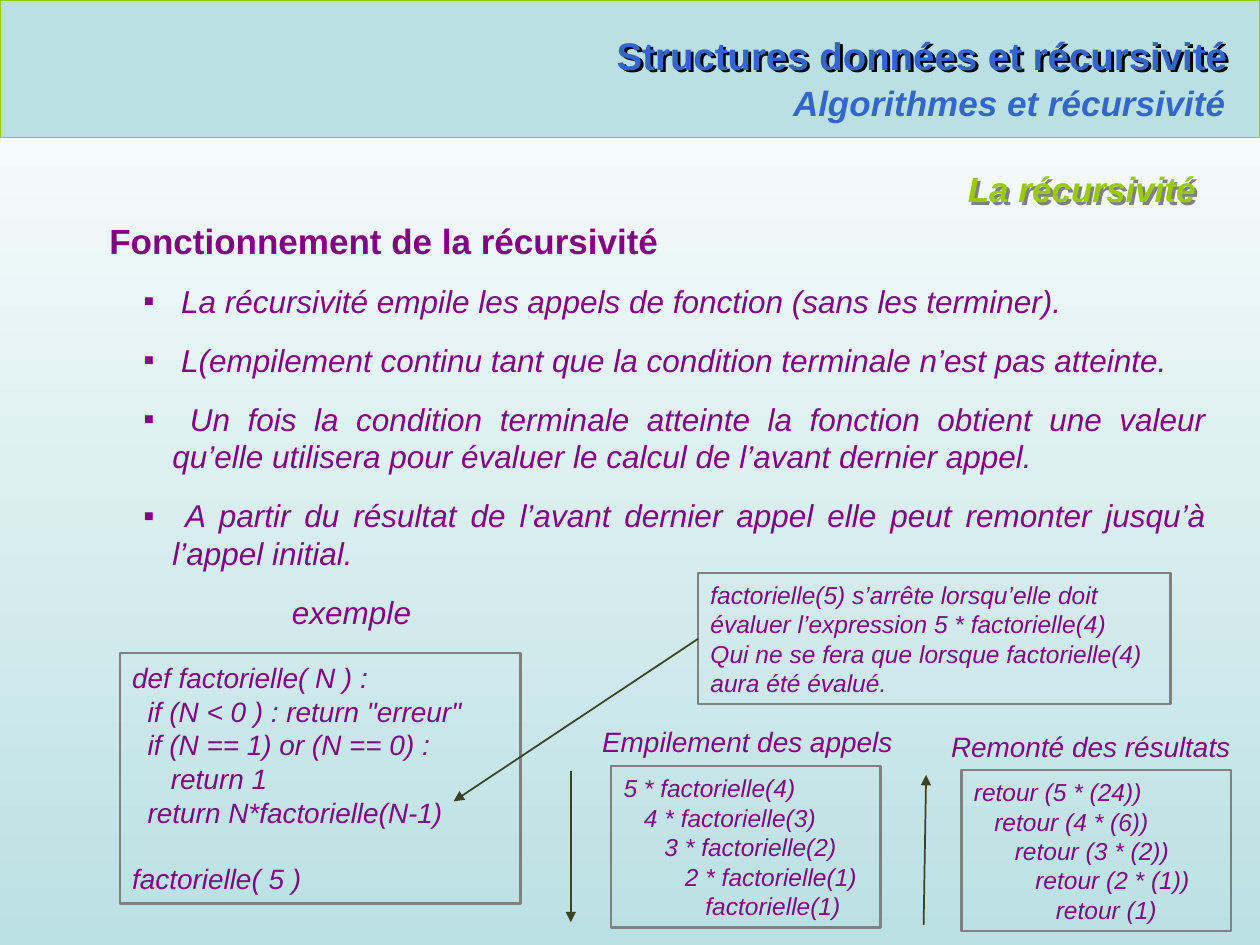
from pptx import Presentation
from pptx.dml.color import RGBColor
from pptx.enum.shapes import MSO_CONNECTOR, MSO_SHAPE
from pptx.enum.text import MSO_ANCHOR, PP_ALIGN
from pptx.oxml.ns import qn
from pptx.util import Pt
from lxml.etree import SubElement


def colour(code):
    return RGBColor.from_string(code)


class SlideBuilder:
    font = "Arial"
    purple, blue, green = "800080", "3366CC", "99CC00"
    pale, grey, dark = "BBE0E3", "808080", "3B4323"

    def __init__(self, slide):
        self.slide = slide

    def background(self):
        fill = self.slide.background.fill
        fill.gradient()
        fill.gradient_angle = 270
        for stop, code in zip(fill.gradient_stops, ("FFFFFF", self.pale)):
            stop.color.rgb = colour(code)

    def add_span(self, para, words, size, code=purple, bold=False, italic=True):
        span = para.add_run()
        span.text = words
        font = span.font
        font.name, font.size = self.font, Pt(size)
        font.bold, font.italic = bold, italic
        font.color.rgb = colour(code)

    def text_box(self, left, top, width, height, wrap=False):
        box = self.slide.shapes.add_textbox(Pt(left), Pt(top), Pt(width), Pt(height))
        box.text_frame.word_wrap = wrap
        return box

    def label(self, place, words, size, align=PP_ALIGN.LEFT, shadow=None, **style):
        box = self.text_box(*place)
        para = box.text_frame.paragraphs[0]
        para.alignment = align
        self.add_span(para, words, size, **style)
        if shadow:
            effects = SubElement(box._element.spPr, qn("a:effectLst"))
            outer = SubElement(effects, qn("a:outerShdw"), dist="30000", dir="2700000",
                               algn="ctr", rotWithShape="0")
            SubElement(outer, qn("a:srgbClr"), val=shadow)

    def rectangle(self, left, top, width, height, line, weight, fill=None):
        box = self.slide.shapes.add_shape(
            MSO_SHAPE.RECTANGLE, Pt(left), Pt(top), Pt(width), Pt(height))
        box.shadow.inherit = False
        if fill:
            box.fill.solid()
            box.fill.fore_color.rgb = colour(fill)
        else:
            box.fill.background()
        box.line.color.rgb = colour(line)
        box.line.width = Pt(weight)
        return box

    def framed_text(self, place, lines, size):
        """Each line is (words, left indent, space before)."""
        box = self.rectangle(*place, self.grey, 1.25)
        frame = box.text_frame
        frame.word_wrap = True
        frame.vertical_anchor = MSO_ANCHOR.MIDDLE
        for index, (words, indent, before) in enumerate(lines):
            para = frame.add_paragraph() if index else frame.paragraphs[0]
            para.alignment = PP_ALIGN.LEFT
            para.space_before = Pt(before)
            para._p.get_or_add_pPr().set("marL", str(Pt(indent)))
            self.add_span(para, words, size)
        return box

    def bullets(self, place, heading, items):
        frame = self.text_box(*place, wrap=True).text_frame
        first = frame.paragraphs[0]
        self.add_span(first, heading, 20, bold=True, italic=False)
        for item in items:
            para = frame.add_paragraph()
            self.add_span(para, item, 18)
        for para in frame.paragraphs:
            para.alignment = PP_ALIGN.JUSTIFY
            para.space_after = Pt(12)
        for para in frame.paragraphs[1:]:
            props = para._p.get_or_add_pPr()
            props.set("marL", str(Pt(36)))
            props.set("indent", str(Pt(-16.5)))
            SubElement(props, qn("a:buFont"), typeface=self.font)
            SubElement(props, qn("a:buChar"), char="▪")

    def line(self, start, end, code=dark, weight=1.0, arrow=True):
        link = self.slide.shapes.add_connector(
            MSO_CONNECTOR.STRAIGHT, *(Pt(value) for value in (*start, *end)))
        link.line.color.rgb = colour(code)
        link.line.width = Pt(weight)
        if arrow:
            SubElement(link.line._get_or_add_ln(), qn("a:tailEnd"), type="triangle")
        SubElement(link._element.spPr, qn("a:effectLst"))
        return link


def main():
    deck = Presentation()
    deck.slide_width, deck.slide_height = Pt(720), Pt(540)
    page = SlideBuilder(deck.slides.add_slide(deck.slide_layouts[6]))
    page.background()

    # Header band
    right = PP_ALIGN.RIGHT
    page.rectangle(0, 0, 720, 78.5, page.green, 0.75, page.pale)
    page.label((336, 14.5, 372.5, 34), "Structures données et récursivité", 22, right,
               shadow="000000", code=page.blue, bold=True, italic=False)
    page.label((439, 43.2, 268.5, 31.5), "Algorithmes et récursivité", 20, right,
               code=page.blue, bold=True)
    page.line((24.5, 78.5), (702.7, 78.5), page.green, 0.75, arrow=False)

    # Main text
    page.label((388, 92.2, 302.5, 31), "La récursivité", 20, right,
               shadow=page.grey, code=page.green, bold=True)
    page.bullets((55.4, 121.7, 640.8, 211), "Fonctionnement de la récursivité", [
        " La récursivité empile les appels de fonction (sans les terminer).",
        " L(empilement continu tant que la condition terminale n’est pas atteinte.",
        " Un fois la condition terminale atteinte la fonction obtient une valeur "
        "qu’elle utilisera pour évaluer le calcul de l’avant dernier appel.",
        " A partir du résultat de l’avant dernier appel elle peut remonter jusqu’à "
        "l’appel initial.",
    ])

    # Code example
    page.framed_text((68.4, 373, 229, 143.3), [
        ("def factorielle( N ) :", 0, 0),
        ("if (N < 0 ) : return \"erreur\"", 8.9, 0),
        ("if (N == 1) or (N == 0) :", 8.9, 0),
        ("return 1", 22.2, 0),
        ("return N*factorielle(N-1)", 8.9, 0),
        ("factorielle( 5 )", 0, 19),
    ], 16)
    page.label((159.8, 335.5, 84.2, 29), "exemple", 18)

    # Note pointing at the recursive call
    note = page.framed_text((398.9, 327.6, 270, 74.9), [
        ("factorielle(5) s’arrête lorsqu’elle doit évaluer l’expression "
         "5 * factorielle(4)", 0, 0),
        ("Qui ne se fera que lorsque factorielle(4) aura été évalué.", 0, 0),
    ], 14)
    pointer = page.line((398.9, 365.8), (259.2, 457.9))
    pointer.begin_connect(note, 1)

    # Call stack and its unwinding, each line one step further in
    stacks = [
        ("Empilement des appels", (337, 410.4, 183.6, 26.6), (349.2, 437.8, 154, 92.2),
         ["5 * factorielle(4)", "4 * factorielle(3)", "3 * factorielle(2)",
          "2 * factorielle(1)", "factorielle(1)"],
         (326.2, 440.6), (326.2, 527)),
        ("Remonté des résultats", (536.4, 413.3, 177, 26.6), (549.4, 440, 154, 92.2),
         ["retour (5 * (24))", "retour (4 * (6))", "retour (3 * (2))",
          "retour (2 * (1))", "retour (1)"],
         (527.8, 528.5), (529.2, 442.8)),
    ]
    for title, title_place, place, calls, start, end in stacks:
        page.framed_text(place, [(call, 11.7 * depth, 0)
                                 for depth, call in enumerate(calls)], 14)
        page.label(title_place, title, 16)
        page.line(start, end)

    deck.save("out.pptx")


if __name__ == "__main__":
    main()
